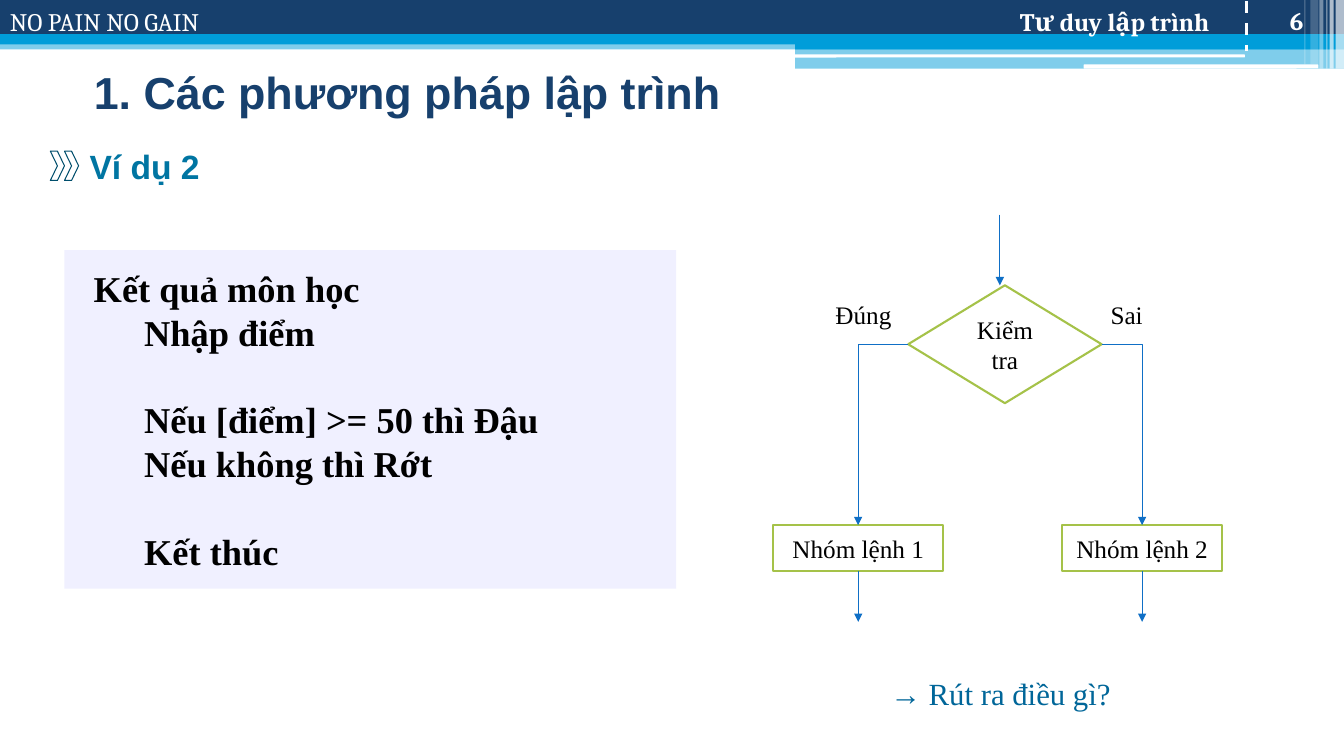
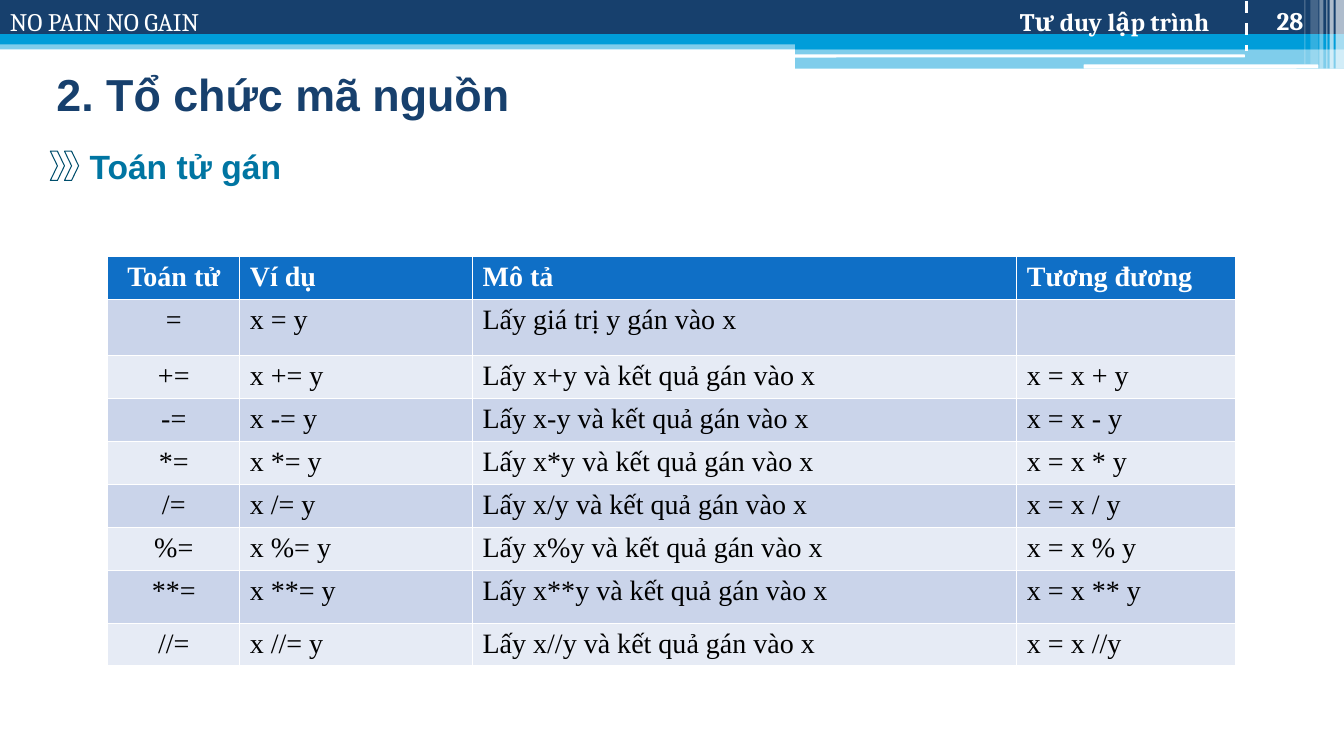
"""Builds two lecture slides on programming: a branching example and the assignment operators."""
from lxml.etree import SubElement
from pptx import Presentation
from pptx.dml.color import RGBColor
from pptx.enum.dml import MSO_LINE
from pptx.enum.shapes import MSO_CONNECTOR, MSO_SHAPE
from pptx.enum.text import MSO_ANCHOR, MSO_AUTO_SIZE, PP_ALIGN
from pptx.oxml.ns import qn
from pptx.util import Pt

NAVY, SKY, WHITE, BLACK = "17406D", "009DD9", "FFFFFF", "000000"
BLUE, GREEN, TEAL, DEEP = "0F6FC6", "A5C249", "0075A2", "004E6C"
PALE, NOTE = "F0F0FF", "006699"
STRIPES = ("E6EBF5", "CAD4EA")
SANS, SERIF, TIMES = "Arial", "Cambria", "Times New Roman"
LEFT, MID, RIGHT = PP_ALIGN.LEFT, PP_ALIGN.CENTER, PP_ALIGN.RIGHT
RECT, ROUND = MSO_SHAPE.RECTANGLE, MSO_SHAPE.ROUNDED_RECTANGLE
INSETS = (7.2, 3.6, 7.2, 3.6)

BANDS = [
    (RECT, (0, 28.8, 960, 6.5), SKY, 50),
    (RECT, (0, 0, 960, 24.5), NAVY, 100),
    (RECT, (0, 24.5, 960, 7.2), SKY, 100),
    (RECT, (568, 28.1, 392, 7.2), SKY, 100),
    (RECT, (568, 34.6, 392, 14.4), SKY, 50),
    (ROUND, (567.4, 38.9, 321.8, 2.2), WHITE, 100),
    (ROUND, (774, 46.1, 167.8, 2.9), WHITE, 100),
    (RECT, (954, 0, 6, 49), WHITE, 65),
    (RECT, (949.7, 0, 2.9, 49), WHITE, 65),
    (RECT, (947.5, 0, 0.7, 49), WHITE, 60),
    (RECT, (942.5, 0, 2.9, 49), WHITE, 40),
    (RECT, (936, 0, 5.8, 46.1), WHITE, 20),
    (RECT, (931.7, 0, 0.7, 46.1), WHITE, 30),
]
MOTTO, COURSE = "NO PAIN NO GAIN", "Tư duy lập trình"

STEPS = [
    ("Kết quả môn học", 0, 0),
    ("Nhập điểm", 1, 0),
    ("Nếu [điểm] >= 50 thì Đậu", 1, 31.5),
    ("Nếu không thì Rớt", 1, 0),
    ("Kết thúc", 1, 31.5),
]
LABELS = [("Đúng", (589.7, 210.2, 58.3, 28.8)), ("Sai", (786.2, 210.2, 57.6, 28.8))]
TEST = ("Kiểm tra", (648.7, 203.8, 138.2, 84.2))
GROUPS = [
    ("Nhóm lệnh 1", (552.2, 375.1, 121.7, 33.1), 1),
    ("Nhóm lệnh 2", (758.9, 375.1, 113.8, 33.1), 3),
]
HEAD = ("Toán tử", "Ví dụ", "Mô tả", "Tương đương")
ROWS = [
    ("=", "x = y", "Lấy giá trị y gán vào x", ""),
    ("+=", "x += y", "Lấy x+y và kết quả gán vào x", "x = x + y"),
    ("-=", "x -= y", "Lấy x-y và kết quả gán vào x", "x = x - y"),
    ("*=", "x *= y", "Lấy x*y và kết quả gán vào x", "x = x * y"),
    ("/=", "x /= y", "Lấy x/y và kết quả gán vào x", "x = x / y"),
    ("%=", "x %= y", "Lấy x%y và kết quả gán vào x", "x = x % y"),
    ("**=", "x **= y", "Lấy x**y và kết quả gán vào x", "x = x ** y"),
    ("//=", "x //= y", "Lấy x//y và kết quả gán vào x", "x = x //y"),
]
WIDTHS = (94.3, 166.3, 388.8, 156.2)
TALL = {1: 40.3, 7: 37.4}


def rgb(code):
    return RGBColor.from_string(code)


def pts(box):
    return [Pt(n) for n in box]


def write(para, text, size, font, color, bold=False, align=LEFT):
    para.alignment = align
    run = para.add_run()
    run.text = text
    run.font.size, run.font.name, run.font.bold = Pt(size), font, bold
    run.font.color.rgb = rgb(color)


def fit(frame, insets=INSETS, anchor=MSO_ANCHOR.TOP):
    frame.word_wrap, frame.auto_size = True, MSO_AUTO_SIZE.NONE
    frame.vertical_anchor = anchor
    sides = pts(insets)
    frame.margin_left, frame.margin_top = sides[:2]
    frame.margin_right, frame.margin_bottom = sides[2:]
    return frame.paragraphs[0]


def draw(slide, kind, box, fill=None, line=None, width=1.5, alpha=100):
    shape = slide.shapes.add_shape(kind, *pts(box))
    shape.shadow.inherit = False
    if fill:
        shape.fill.solid()
        shape.fill.fore_color.rgb = rgb(fill)
        if alpha < 100:
            tint = shape.element.spPr.find(".//" + qn("a:srgbClr"))
            SubElement(tint, qn("a:alpha")).set("val", str(alpha * 1000))
    else:
        shape.fill.background()
    if line:
        shape.line.color.rgb = rgb(line)
        shape.line.width = Pt(width)
    else:
        shape.line.fill.background()
    return shape


def label(slide, box, text, *style, insets=INSETS, anchor=MSO_ANCHOR.TOP, **more):
    frame = slide.shapes.add_textbox(*pts(box)).text_frame
    write(fit(frame, insets, anchor), text, *style, **more)


def link(slide, ends, color=BLUE, width=0.75, kind=MSO_CONNECTOR.STRAIGHT, arrow=True):
    wire = slide.shapes.add_connector(kind, *pts(ends))
    wire.line.color.rgb = rgb(color)
    wire.line.width = Pt(width)
    props = wire.element.spPr
    if arrow:
        SubElement(props.find(qn("a:ln")), qn("a:tailEnd")).set("type", "triangle")
    SubElement(props, qn("a:effectLst"))
    return wire


def brand(slide, layout):
    tree = layout.shapes.element
    for holder in list(layout.placeholders)[1:]:
        tree.remove(holder.element)
    for kind, box, fill, alpha in BANDS:
        draw(slide, kind, box, fill, alpha=alpha)
    label(slide, (0, 0.7, 256.3, 28.8), MOTTO, 18, SERIF, WHITE)
    label(slide, (416.2, 0.7, 466.6, 28.8), COURSE, 18, SERIF, WHITE, bold=True,
          align=RIGHT, insets=(7.2, 3.6, 19, 3.6), anchor=MSO_ANCHOR.BOTTOM)
    rule = link(slide, (890.6, 0.7, 890.6, 36.7), WHITE, 2.25, arrow=False)
    rule.line.dash_style = MSO_LINE.DASH
    for left in (36, 46.1):
        draw(slide, MSO_SHAPE.CHEVRON, (left, 108, 10.1, 20.9), line=DEEP, width=0.75)
    for shape in list(slide.shapes)[1:]:
        tree.append(shape.element)


def start(slide, title, box, topic, number):
    head = slide.shapes.title
    head.left, head.top, head.width, head.height = pts(box)
    para = fit(head.text_frame, anchor=MSO_ANCHOR.MIDDLE)
    write(para, title, 32, SANS, NAVY, bold=True)
    label(slide, (879.8, 0, 58.3, 28.8), number, 18, SERIF, WHITE, bold=True,
          align=RIGHT, anchor=MSO_ANCHOR.BOTTOM)
    label(slide, (56.9, 97.2, 393.1, 35.3), topic, 24, SANS, TEAL, bold=True,
          insets=(7.2,) * 4)


def steps(slide):
    frame = draw(slide, RECT, (46.1, 178.6, 437, 241.9), PALE).text_frame
    para = fit(frame, (20.9, 10.8, 0, 10.8), MSO_ANCHOR.MIDDLE)
    for i, (text, level, gap) in enumerate(STEPS):
        para = frame.add_paragraph() if i else para
        para.level = level
        para._p.get_or_add_pPr().set("marL", str(Pt(36 * level)))
        para.space_before = Pt(gap)
        write(para, text, 26, TIMES, BLACK, bold=True)


def node(slide, kind, text, box):
    shape = draw(slide, kind, box, WHITE, GREEN)
    para = fit(shape.text_frame, anchor=MSO_ANCHOR.MIDDLE)
    write(para, text, 18, TIMES, BLACK, align=MID)
    return shape


def flow(slide):
    test = node(slide, MSO_SHAPE.FLOWCHART_DECISION, *TEST)
    link(slide, (714.2, 153.4, 714.2, 203.8))
    for text, box in LABELS:
        label(slide, box, text, 18, TIMES, BLACK)
    for text, box, side in GROUPS:
        group = node(slide, RECT, text, box)
        left, top, width, height = box
        x, foot = left + width / 2, top + height
        edge = TEST[1][0] + (TEST[1][2] if side == 3 else 0)
        bend = link(slide, (edge, 245.9, x, top), kind=MSO_CONNECTOR.ELBOW)
        bend.element.spPr.find(qn("a:prstGeom")).set("prst", "bentConnector2")
        bend.begin_connect(test, side)
        bend.end_connect(group, 0)
        link(slide, (x, foot, x, foot + 36)).begin_connect(group, 2)
    label(slide, (612.7, 472.3, 203.8, 44.6), "→ Rút ra điều gì?", 22, TIMES, NOTE,
          align=MID, insets=(9.4,) * 4)


def grid(slide):
    heights = [TALL.get(i, 30.7) for i in range(len(ROWS) + 1)]
    box = (77, 183.2, sum(WIDTHS), sum(heights))
    table = slide.shapes.add_table(len(heights), len(WIDTHS), *pts(box)).table
    for col, width in zip(table.columns, WIDTHS):
        col.width = Pt(width)
    for i, (texts, height) in enumerate(zip([HEAD] + ROWS, heights)):
        table.rows[i].height = Pt(height)
        for j, text in enumerate(texts):
            cell = table.cell(i, j)
            cell.fill.solid()
            cell.fill.fore_color.rgb = rgb(STRIPES[i % 2] if i else BLUE)
            if text:
                write(cell.text_frame.paragraphs[0], text, 20, TIMES,
                      BLACK if i else WHITE, bold=not i, align=LEFT if j else MID)


def main():
    deck = Presentation()
    deck.slide_width, deck.slide_height = Pt(960), Pt(540)
    layout = deck.slide_layouts[5]
    first = deck.slides.add_slide(layout)
    brand(first, layout)
    start(first, "1. Các phương pháp lập trình", (59.8, 34.6, 833.8, 61.9), "Ví dụ 2", "6")
    steps(first)
    flow(first)
    second = deck.slides.add_slide(layout)
    start(second, "2. Tổ chức mã nguồn", (33.1, 36, 848.2, 61.9), "Toán tử gán", "28")
    grid(second)
    deck.save("out.pptx")


if __name__ == "__main__":
    main()
